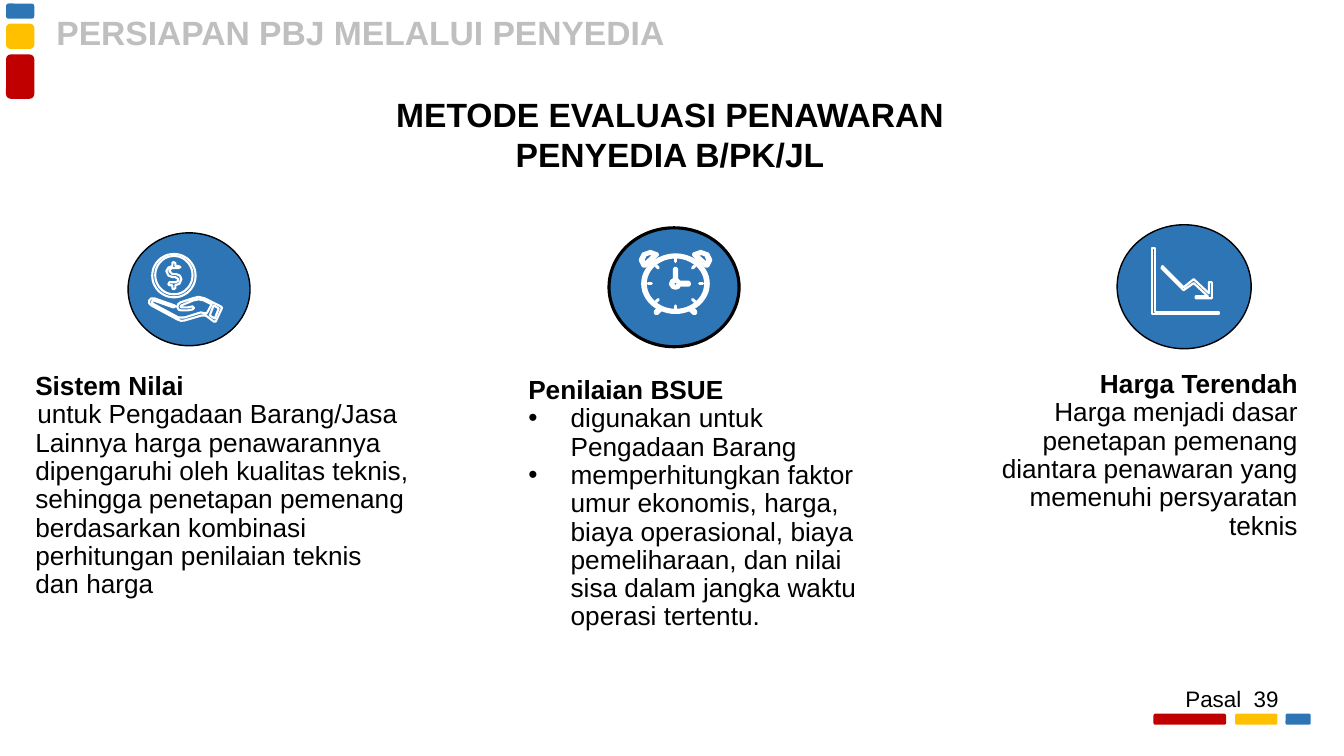
from math import cos, pi, sin

from lxml import etree
from pptx import Presentation
from pptx.dml.color import RGBColor
from pptx.enum.shapes import MSO_SHAPE
from pptx.enum.text import MSO_ANCHOR, PP_ALIGN
from pptx.oxml.ns import qn
from pptx.util import Inches, Pt

BLUE = RGBColor(0x2E, 0x75, 0xB6)
GOLD = RGBColor(0xFF, 0xC0, 0x00)
RED = RGBColor(0xC0, 0x00, 0x00)
GREY = RGBColor(0xBF, 0xBF, 0xBF)
BLACK = RGBColor(0, 0, 0)
WHITE = RGBColor(0xFF, 0xFF, 0xFF)
ROUND, OVAL = MSO_SHAPE.ROUNDED_RECTANGLE, MSO_SHAPE.OVAL
LEFT, CENTER, RIGHT = PP_ALIGN.LEFT, PP_ALIGN.CENTER, PP_ALIGN.RIGHT
MIDDLE, TOP = MSO_ANCHOR.MIDDLE, MSO_ANCHOR.TOP

# Grid of 1333 columns by 750 rows
CELL = Inches(0.01)
deck = Presentation()
deck.slide_width, deck.slide_height = 1333 * CELL, 750 * CELL
slide = deck.slides.add_slide(deck.slide_layouts[6])
shapes = slide.shapes


def paint(shape, fill, line=None, width=0):
    shape.shadow.inherit = False
    shape.fill.solid()
    shape.fill.fore_color.rgb = fill
    if line is None:
        shape.line.fill.background()
    else:
        shape.line.color.rgb = line
        shape.line.width = Pt(width)


def write(box, lines, size, align=LEFT, color=BLACK, inset=(10, 5),
          anchor=TOP, wrap=True, space=None):
    """Each line holds its text, bold, left margin, indent and bullet."""
    frame = shapes.add_textbox(*(round(n * CELL) for n in box)).text_frame
    frame.word_wrap = wrap
    frame.vertical_anchor = anchor
    frame.margin_left = frame.margin_right = inset[0] * CELL
    frame.margin_top = frame.margin_bottom = inset[1] * CELL
    for i, (text, bold, margin, indent, bullet) in enumerate(lines):
        para = frame.paragraphs[0] if i == 0 else frame.add_paragraph()
        para.text = text
        para.alignment = align
        if space:
            para.line_spacing = space
        props = para._p.get_or_add_pPr()
        props.set("marL", str(margin * CELL))
        props.set("indent", str(indent * CELL))
        if bullet:
            etree.SubElement(props, qn("a:buFont")).set("typeface", "Arial")
            etree.SubElement(props, qn("a:buChar")).set("char", bullet)
        font = para.font
        font.name, font.size, font.bold = "Arial", Pt(size), bold
        font.color.rgb = color


# Corner bars: upright at top left, flat at bottom right
bars = [(6, 54, 28, 44, RED), (6, 23.5, 28, 25, GOLD), (6, 3.5, 28, 15, BLUE),
        (1144, 708, 72, 11, RED), (1225, 708, 42, 11, GOLD),
        (1275, 708, 25, 11, BLUE)]
for *box, color in bars:
    paint(shapes.add_shape(ROUND, *(round(n * CELL) for n in box)), color)

# Headings and article number
write((56, 0, 1056, 64), [("PERSIAPAN PBJ MELALUI PENYEDIA", True, 0, 0, "")],
      24, color=GREY, inset=(0, 0), anchor=MIDDLE)
write((380, 88, 569, 91), [("METODE EVALUASI PENAWARAN", True, 0, 0, ""),
                           ("PENYEDIA B/PK/JL", True, 0, 0, "")],
      24, CENTER, wrap=False)
write((1122, 675, 200, 37), [("Pasal  39", False, 0, 0, "")], 16, CENTER)

# Three methods
methods = [
    ((22, 363, 399, 156), LEFT, [
        ("Sistem Nilai", True, 50, -50, ""),
        ("untuk Pengadaan Barang/Jasa Lainnya harga penawarannya dipengaruhi "
         "oleh kualitas teknis, sehingga penetapan pemenang berdasarkan "
         "kombinasi perhitungan penilaian teknis dan harga",
         False, 0, 2, "")]),
    ((511, 367, 356, 131), LEFT, [
        ("Penilaian BSUE", True, 50, -50, ""),
        ("digunakan untuk Pengadaan Barang", False, 42, -42, "•"),
        ("memperhitungkan faktor umur ekonomis, harga, biaya operasional, "
         "biaya pemeliharaan, dan nilai sisa dalam jangka waktu operasi "
         "tertentu.", False, 42, -42, "•")]),
    ((964, 361, 336, 95), RIGHT, [
        ("Harga Terendah", True, 50, -50, ""),
        ("Harga menjadi dasar penetapan pemenang diantara penawaran yang "
         "memenuhi persyaratan teknis", False, 0, 2, "")]),
]
for box, align, lines in methods:
    write(box, lines, 18.7, align, inset=(13, 7), space=0.9)

# Icon outlines: rings are (x, y, radius across, radius down)
coin_rings = [(172.5, 273.5, 21.5, 21.5), (172.5, 273, 18.5, 19)]
clock_rings = [(670, 281.5, 32.5, 28.5), (670, 281.5, 30, 26.5),
               (670, 281.5, 2.5, 2.5)]
coin, clock = [[[(x + a * cos(k * pi / 24), y + b * sin(k * pi / 24))
                 for k in range(48)] for x, y, a, b in rings]
               for rings in (coin_rings, clock_rings)]

# Hand with cuff, and dollar sign
coin += [
    [(220, 305), (219, 304), (203, 296), (197, 294.5), (191, 296), (179, 300),
     (176.5, 302), (176, 305), (177.5, 307.5), (180, 308), (186, 308),
     (191, 307), (192.5, 305.5), (191, 304), (186, 305), (180, 305),
     (179, 304), (180, 303), (192, 298), (197, 297), (202, 298), (210, 302),
     (205, 311), (199, 310), (183, 315), (177, 315), (151, 301), (151, 299),
     (152, 298), (172, 305), (174, 304), (173, 303), (153, 296), (150, 296),
     (148, 298), (148, 301), (150, 303), (176, 317), (179.5, 318.3),
     (183, 318), (200, 313), (204, 313), (212, 319), (214, 319), (220, 306)],
    [(217, 306), (213, 316), (208, 313), (212, 303)],
    [(171, 275), (174, 275), (177, 277), (176.5, 279), (174, 280), (168, 280),
     (167, 282), (168, 283), (171, 283), (171, 286), (172, 287), (174, 286),
     (174, 283), (178, 281.5), (180, 277), (178.5, 273.5), (175, 272),
     (171, 272), (168, 269), (169, 267), (171, 266), (177, 266), (179, 265),
     (177, 264), (174, 264), (174, 261), (172, 260), (171, 261), (171, 264),
     (167, 265.5), (165, 269), (167, 273.3)],
]

# Clock hands, ticks, bells and feet
clock.append([(683, 280), (674, 280), (671, 277), (671, 267), (670, 266),
              (669, 267), (669, 277), (666, 279), (665, 282), (667, 285),
              (670, 286), (673, 285), (674, 283), (683, 283), (684, 282)])
for k in range(8):
    across, down = cos(k * pi / 4), sin(k * pi / 4)
    clock.append([(670 + r * across, 281.5 + (r - 2) * down)
                  for r in (24, 27)])
halves = [
    [(645, 260), (640, 264), (638, 264), (635, 258), (638, 252), (645, 249.5),
     (652, 252), (652, 253), (647, 258), (648, 260)],
    [(639, 262), (638, 257.5), (640, 253), (644.5, 251.5), (649, 253)],
    [(653, 306), (650, 309), (650, 311), (652, 311), (656, 307)],
]
for half in halves:
    clock += [half, [(1340 - x, y) for x, y in half]]

chart = [
    [(1146, 310), (1146, 246), (1143, 246), (1143, 312), (1209, 312),
     (1209, 310)],
    [(1184, 281), (1198, 294), (1186, 294), (1186, 296), (1202, 296),
     (1202, 280), (1199, 280), (1199, 291), (1184, 277), (1174, 285),
     (1153, 264), (1152, 266), (1174, 288)],
]

# Discs with their icons; points are in tenths of a cell
icons = [((127, 231, 121, 112), 1, coin, BLUE, 1.5),
         ((604, 226, 129, 118), 2.25, clock, WHITE, 2.25),
         ((1108, 223, 133, 123), 1, chart, BLUE, 1.5)]
for box, edge, parts, fill, width in icons:
    paint(shapes.add_shape(OVAL, *(n * CELL for n in box)), BLUE, BLACK, edge)
    pen = None
    for part in parts:
        first, *rest = [(10 * x, 10 * y) for x, y in part]
        if pen is None:
            pen = shapes.build_freeform(*first, scale=CELL / 10)
        else:
            pen.move_to(*first)
        pen.add_line_segments(rest, close=True)
    paint(pen.convert_to_shape(), fill, WHITE, width)

deck.save("out.pptx")
